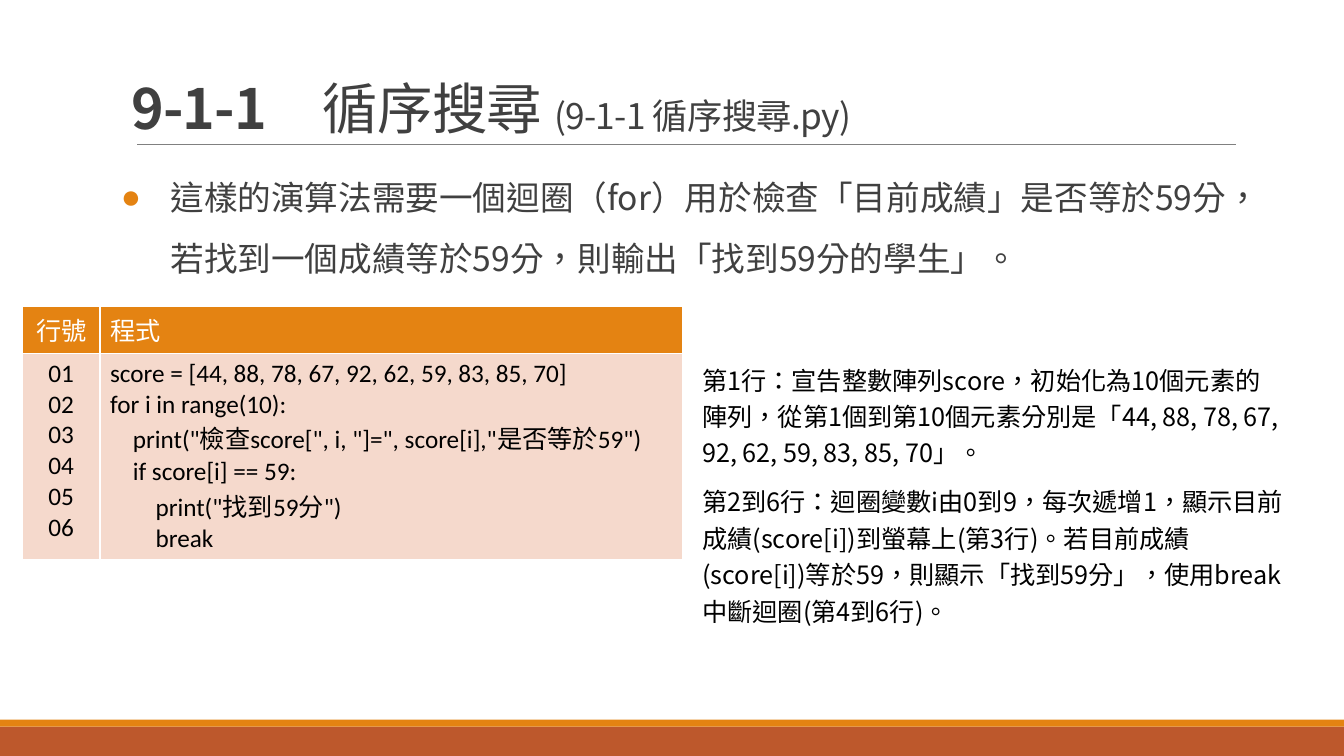
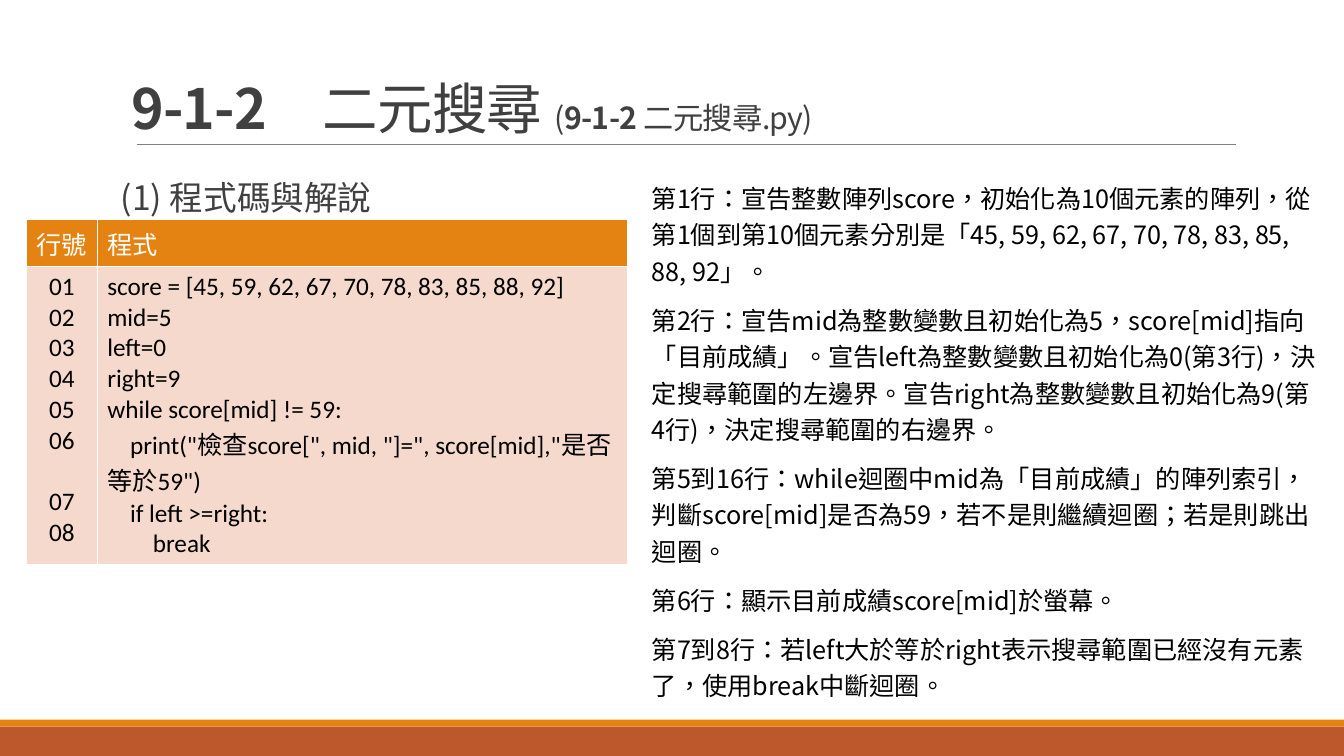
from lxml.etree import SubElement
from pptx import Presentation
from pptx.dml.color import RGBColor
from pptx.enum.shapes import MSO_CONNECTOR, MSO_SHAPE
from pptx.enum.text import MSO_ANCHOR, MSO_AUTO_SIZE, PP_ALIGN
from pptx.oxml import parse_xml
from pptx.oxml.ns import nsdecls, qn
from pptx.util import Pt

ORANGE = RGBColor(0xE4, 0x83, 0x12)
RUST = RGBColor(0xBD, 0x58, 0x2C)
PEACH = RGBColor(0xF5, 0xD9, 0xCC)
GRAY = RGBColor(0x80, 0x80, 0x80)
DARK = RGBColor(0x40, 0x40, 0x40)
BLACK = RGBColor(0, 0, 0)
WHITE = RGBColor(0xFF, 0xFF, 0xFF)

TEXT_FONT = "Noto Sans CJK SC"
CODE_FONT = "Calibri"
SLIDE_WIDTH, SLIDE_HEIGHT = 960, 540
CODE_SIZE, CODE_LINE = 18, 22
TITLE_SIZE = 39.6
TITLE_BOX = (86.4, 22.3, 792, 77.8)
BODY_BOX = (86.4, 108, 792, 388)


def place(shape, box):
    shape.left, shape.top, shape.width, shape.height = map(Pt, box)


def style_text(paragraph, size, color, tracking=0):
    """Set the Chinese and Latin font of a whole paragraph."""
    font = paragraph.font
    font.size = Pt(size)
    font.color.rgb = color
    font.name = TEXT_FONT
    properties = font._rPr
    properties.set("lang", "zh-TW")
    if tracking:
        properties.set("spc", str(round(tracking * 100)))
    properties.find(qn("a:latin")).addnext(
        parse_xml(f'<a:ea {nsdecls("a")} typeface="{TEXT_FONT}"/>'))


def set_spacing(paragraph, line, before=0):
    paragraph.line_spacing = Pt(line)
    paragraph.space_before = Pt(before)
    paragraph.space_after = Pt(3)


def set_bullet(paragraph, character, indent):
    properties = paragraph._p.get_or_add_pPr()
    properties.set("marL", str(Pt(indent)))
    properties.set("indent", str(-Pt(indent)))
    if character:
        color = SubElement(properties, qn("a:buClr"))
        SubElement(color, qn("a:srgbClr"), val=str(ORANGE))
        SubElement(properties, qn("a:buChar"), char=character)
    else:
        SubElement(properties, qn("a:buNone"))


def set_up_layout(layout, slide):
    """Give the layout its title and body boxes, rule and bottom bands."""
    title, body = layout.placeholders[0], layout.placeholders[1]
    place(title, TITLE_BOX)
    title.text_frame.vertical_anchor = MSO_ANCHOR.BOTTOM
    title.text_frame.margin_bottom = 0
    place(body, BODY_BOX)
    body.text_frame.margin_left = body.text_frame.margin_right = 0

    decorations = []
    for top, height, color in ((519, 21, RUST), (514, 5, ORANGE)):
        band = slide.shapes.add_shape(MSO_SHAPE.RECTANGLE, 0, Pt(top),
                                      Pt(SLIDE_WIDTH), Pt(height))
        band.shadow.inherit = False
        band.fill.solid()
        band.fill.fore_color.rgb = color
        band.line.fill.background()
        decorations.append(band)
    rule = slide.shapes.add_connector(MSO_CONNECTOR.STRAIGHT, Pt(98), Pt(103),
                                      Pt(883), Pt(103))
    rule.line.color.rgb = GRAY
    rule.line.width = Pt(0.5)
    SubElement(rule.element.spPr, qn("a:effectLst"))
    decorations.append(rule)

    tree = layout.shapes.element
    for number, shape in enumerate(decorations):
        shape.element.xpath("./*/p:cNvPr")[0].set("id", str(101 + number))
        tree.insert(2 + number, shape.element)


def fill_title(title, runs):
    """Write runs of (text, size, bold)."""
    title.text_frame.auto_size = MSO_AUTO_SIZE.NONE
    paragraph = title.text_frame.paragraphs[0]
    paragraph.alignment = PP_ALIGN.LEFT
    style_text(paragraph, TITLE_SIZE, DARK, tracking=-0.5)
    for text, size, bold in runs:
        run = paragraph.add_run()
        run.text = text
        run.font.size = Pt(size)
        run.font.bold = bold


def fill_body(body, text, bullet, indent):
    body.text_frame.auto_size = MSO_AUTO_SIZE.NONE
    paragraph = body.text_frame.paragraphs[0]
    paragraph.text = text
    set_spacing(paragraph, 43.5)
    set_bullet(paragraph, bullet, indent)
    style_text(paragraph, 24, DARK)


def add_cell_borders(cell):
    properties = cell._tc.get_or_add_tcPr()
    for position, side in enumerate(("lnL", "lnR", "lnT", "lnB")):
        properties.insert(position, parse_xml(
            f'<a:{side} {nsdecls("a")} w="{Pt(1)}"><a:solidFill>'
            f'<a:srgbClr val="{WHITE}"/></a:solidFill></a:{side}>'))


def fill_cell(cell, lines, fill, color, alignment):
    cell.fill.solid()
    cell.fill.fore_color.rgb = fill
    add_cell_borders(cell)
    cell.text = "\n".join(lines)
    for paragraph in cell.text_frame.paragraphs:
        paragraph.alignment = alignment
        paragraph.font.size = Pt(CODE_SIZE)
        paragraph.font.name = CODE_FONT
        paragraph.font.bold = False
        paragraph.font.color.rgb = color


def add_code_table(slide, left, top, column_widths, code, wrapped_lines=()):
    """List code with line numbers; a wrapped line takes two rows of text."""
    row_heights = (29.5, 111)
    table = slide.shapes.add_table(2, 2, Pt(left), Pt(top), Pt(sum(column_widths)),
                                   Pt(sum(row_heights))).table
    for column, width in zip(table.columns, column_widths):
        column.width = Pt(width)
    for row, height in zip(table.rows, row_heights):
        row.height = Pt(height)

    numbers = [f"{number:02}" for number in range(1, len(code) + 1)]
    columns = (("行號", numbers, PP_ALIGN.CENTER), ("程式", code, PP_ALIGN.LEFT))
    for index, (heading, lines, alignment) in enumerate(columns):
        fill_cell(table.cell(0, index), [heading], ORANGE, WHITE, alignment)
        fill_cell(table.cell(1, index), lines, PEACH, BLACK, alignment)
    number_paragraphs = table.cell(1, 0).text_frame.paragraphs
    for number in wrapped_lines:
        number_paragraphs[number].space_before = Pt(CODE_LINE)


def add_explanation(slide, box, texts):
    frame = slide.shapes.add_textbox(*map(Pt, box)).text_frame
    frame.word_wrap = True
    for index, text in enumerate(texts):
        paragraph = frame.paragraphs[0] if index == 0 else frame.add_paragraph()
        paragraph.text = text
        set_spacing(paragraph, 26, before=6 if index else 0)
        style_text(paragraph, 18, BLACK)


def build_sequential_search(slide):
    fill_title(slide.shapes.title, (
        ("9-1-1　", TITLE_SIZE, True),
        ("循序搜尋 ", TITLE_SIZE, False),
        ("(9-1-1 循序搜尋.py)", 25.2, False),
    ))
    fill_body(
        slide.placeholders[1],
        "這樣的演算法需要一個迴圈（for）用於檢查「目前成績」是否等於59分，"
        "若找到一個成績等於59分，則輸出「找到59分的學生」。",
        bullet="●", indent=35.4)
    add_code_table(slide, 16, 219, (55.5, 416), (
        "score = [44, 88, 78, 67, 92, 62, 59, 83, 85, 70]",
        "for i in range(10):",
        '    print("檢查score[", i, "]=", score[i],"是否等於59")',
        "    if score[i] == 59:",
        '        print("找到59分")',
        "        break",
    ))
    add_explanation(slide, (494.5, 252.7, 430, 199.5), (
        "第1行：宣告整數陣列score，初始化為10個元素的陣列，從第1個到第10個元素分別是"
        "「44, 88, 78, 67, 92, 62, 59, 83, 85, 70」。",
        "第2到6行：迴圈變數i由0到9，每次遞增1，顯示目前成績(score[i])到螢幕上(第3行)。"
        "若目前成績(score[i])等於59，則顯示「找到59分」，使用break中斷迴圈(第4到6行)。",
    ))


def build_binary_search(slide):
    fill_title(slide.shapes.title, (
        ("9-1-2　", TITLE_SIZE, True),
        ("二元搜尋 ", TITLE_SIZE, False),
        ("(", 21.6, False),
        ("9-1-2 ", 21.6, True),
        ("二元搜尋.py)", 21.6, False),
    ))
    fill_body(slide.placeholders[1], "(1) 程式碼與解說", bullet=None, indent=0)
    add_code_table(slide, 19, 157, (50.5, 379), (
        "score = [45, 59, 62, 67, 70, 78, 83, 85, 88, 92]",
        "mid=5",
        "left=0",
        "right=9",
        "while score[mid] != 59:",
        '    print("檢查score[", mid, "]=", score[mid],"是否等於59")',
        "    if left >=right:",
        "        break",
    ), wrapped_lines=(6,))
    add_explanation(slide, (458.5, 123, 489, 384), (
        "第1行：宣告整數陣列score，初始化為10個元素的陣列，從第1個到第10個元素分別是"
        "「45, 59, 62, 67, 70, 78, 83, 85, 88, 92」。",
        "第2行：宣告mid為整數變數且初始化為5，score[mid]指向「目前成績」。"
        "宣告left為整數變數且初始化為0(第3行)，決定搜尋範圍的左邊界。"
        "宣告right為整數變數且初始化為9(第4行)，決定搜尋範圍的右邊界。",
        "第5到16行：while迴圈中mid為「目前成績」的陣列索引，判斷score[mid]是否為59，"
        "若不是則繼續迴圈；若是則跳出迴圈。",
        "第6行：顯示目前成績score[mid]於螢幕。",
        "第7到8行：若left大於等於right表示搜尋範圍已經沒有元素了，使用break中斷迴圈。",
    ))


def main():
    presentation = Presentation()
    presentation.slide_width = Pt(SLIDE_WIDTH)
    presentation.slide_height = Pt(SLIDE_HEIGHT)
    layout = presentation.slide_layouts[1]
    slides = [presentation.slides.add_slide(layout) for _ in range(2)]
    set_up_layout(layout, slides[0])
    build_sequential_search(slides[0])
    build_binary_search(slides[1])
    presentation.save("out.pptx")


if __name__ == "__main__":
    main()
